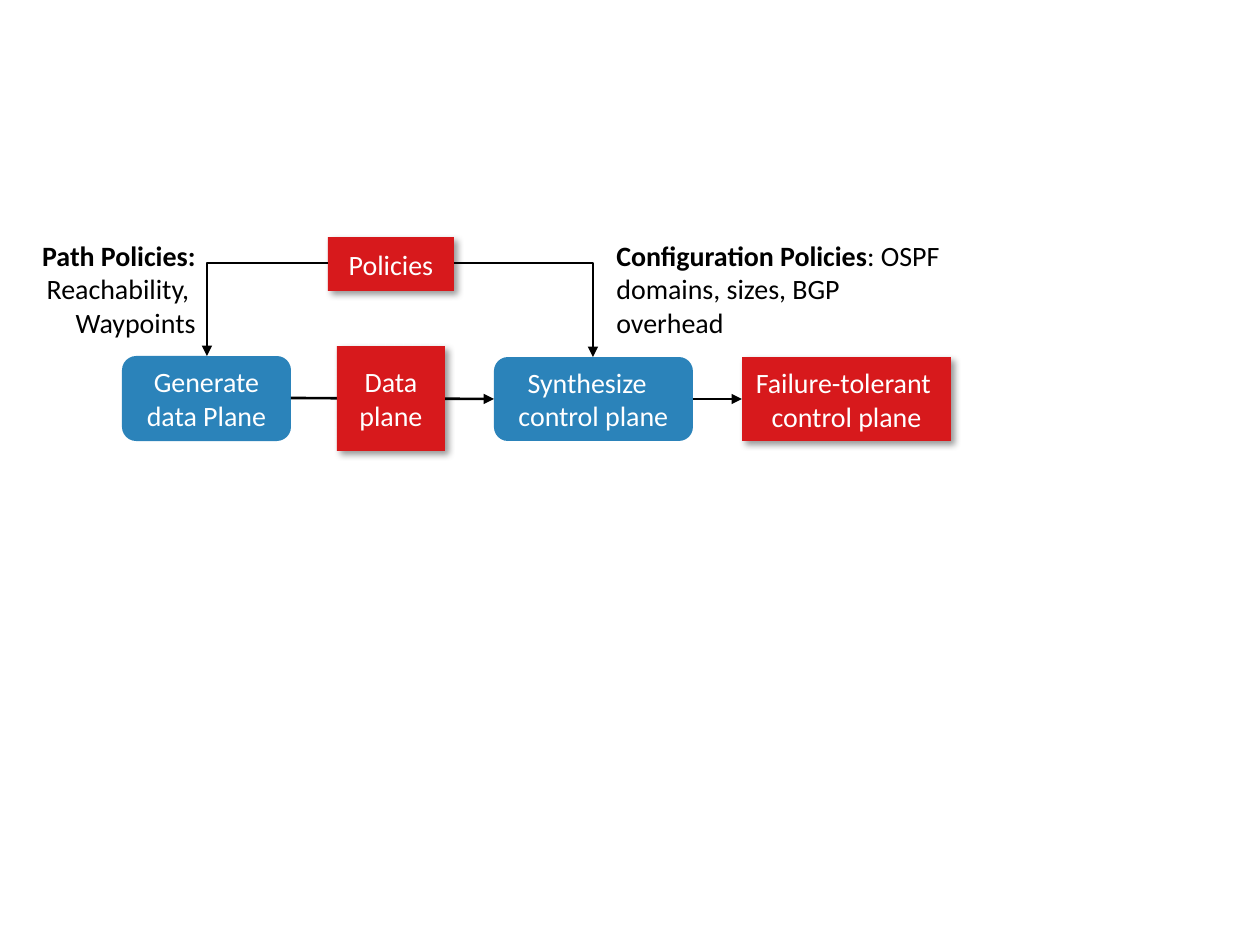
from pptx import Presentation
from pptx.dml.color import RGBColor
from pptx.enum.shapes import MSO_CONNECTOR as LINK, MSO_SHAPE as SHAPE
from pptx.enum.text import MSO_ANCHOR as ANCHOR, PP_ALIGN as ALIGN
from pptx.oxml import parse_xml
from pptx.oxml.ns import nsdecls
from pptx.util import Inches, Pt

PIXELS_PER_INCH = 126
BLUE, RED, WHITE, BLACK = "2B83BA", "D7191C", "FFFFFF", "000000"


def px(length):
    """Turn pixels into EMU."""
    return Inches(length / PIXELS_PER_INCH)


def color(value):
    """Turn a hex string into a colour."""
    return RGBColor.from_string(value)


def write(frame, paragraphs, size=16, font="Calibri", ink=BLACK, align=ALIGN.LEFT):
    """Fill a text frame; each paragraph is a list of (text, bold) spans."""
    frame.word_wrap = True
    for index, spans in enumerate(paragraphs):
        para = frame.paragraphs[0] if index == 0 else frame.add_paragraph()
        para.alignment = align
        for text, bold in spans:
            for row, piece in enumerate(text.split("\n")):
                if row:
                    para.add_line_break()
                span = para.add_run()
                span.text = piece
                span.font.name, span.font.size = font, Pt(size)
                span.font.bold = bold
                span.font.color.rgb = color(ink)


class FlowSlide:
    """The diagram style and the slide it is drawn on."""

    inset = 6
    line_width = 1.5

    def __init__(self, page):
        """Keep the slide's shapes for drawing."""
        self.shapes = page.shapes

    def box(self, kind, fill, left, top, width, height, *lines):
        """Add a filled, centred box with one paragraph per line."""
        box = self.shapes.add_shape(kind, px(left), px(top), px(width), px(height))
        box.shadow.inherit = False
        box.fill.solid()
        box.fill.fore_color.rgb = color(fill)
        box.line.fill.background()
        frame = box.text_frame
        frame.margin_left = frame.margin_right = px(self.inset)
        frame.margin_top = frame.margin_bottom = px(self.inset)
        frame.vertical_anchor = ANCHOR.MIDDLE
        write(frame, [[(line, False)] for line in lines], ink=WHITE, align=ALIGN.CENTER)
        return box

    def step(self, *args):
        """Add a rounded blue process step."""
        self.box(SHAPE.ROUNDED_RECTANGLE, BLUE, *args)

    def data(self, *args):
        """Add a red input or output box with a soft shadow."""
        box = self.box(SHAPE.RECTANGLE, RED, *args)
        effects = box._element.spPr.find("{*}effectLst")
        effects.append(parse_xml(
            f'<a:outerShdw {nsdecls("a")} blurRad="{Pt(4)}" dist="{Pt(3)}" '
            'dir="2700000" algn="tl" rotWithShape="0"><a:srgbClr val="000000">'
            '<a:alpha val="40000"/></a:srgbClr></a:outerShdw>'))

    def note(self, left, top, width, height, paragraphs, align=ALIGN.LEFT):
        """Add a plain text note."""
        note = self.shapes.add_textbox(px(left), px(top), px(width), px(height))
        write(note.text_frame, paragraphs, align=align)

    def arrow(self, start, end, bent=False):
        """Add an arrow, straight or with one right-angled bend."""
        kind = LINK.ELBOW if bent else LINK.STRAIGHT
        arrow = self.shapes.add_connector(kind, *map(px, start + end))
        arrow.line.color.rgb = color(BLACK)
        arrow.line.width = Pt(self.line_width)
        props = arrow._element.spPr
        if bent:
            props.find("{*}prstGeom").set("prst", "bentConnector2")
        props.find("{*}ln").append(
            parse_xml(f'<a:tailEnd {nsdecls("a")} type="triangle"/>'))
        props.append(parse_xml(f'<a:effectLst {nsdecls("a")}/>'))


deck = Presentation()
deck.slide_width, deck.slide_height = Inches(10), Inches(7.5)
flow = FlowSlide(deck.slides.add_slide(deck.slide_layouts[6]))

flow.step(122, 356, 169, 85, "Generate data Plane")
flow.step(494, 357, 199, 84, "Synthesize  ", "control plane")
flow.arrow((291, 398), (494, 399))
flow.arrow((693, 399), (742, 399))
flow.data(328, 237, 126, 54, "Policies")
flow.data(742, 357, 209, 84, "Failure-tolerant \ncontrol plane")
flow.arrow((454, 263), (593, 357), bent=True)
flow.data(337, 346, 108, 105, "Data", "plane")
flow.note(0, 232, 208, 115,
          [[("Path Policies: ", True), ("Reachability, ", False)], [("Waypoints", False)]],
          align=ALIGN.RIGHT)
flow.note(604, 232, 348, 115,
          [[("Configuration Policies", True), (": OSPF domains, sizes, BGP overhead", False)]])
flow.arrow((328, 263), (207, 356), bent=True)

deck.save("out.pptx")
